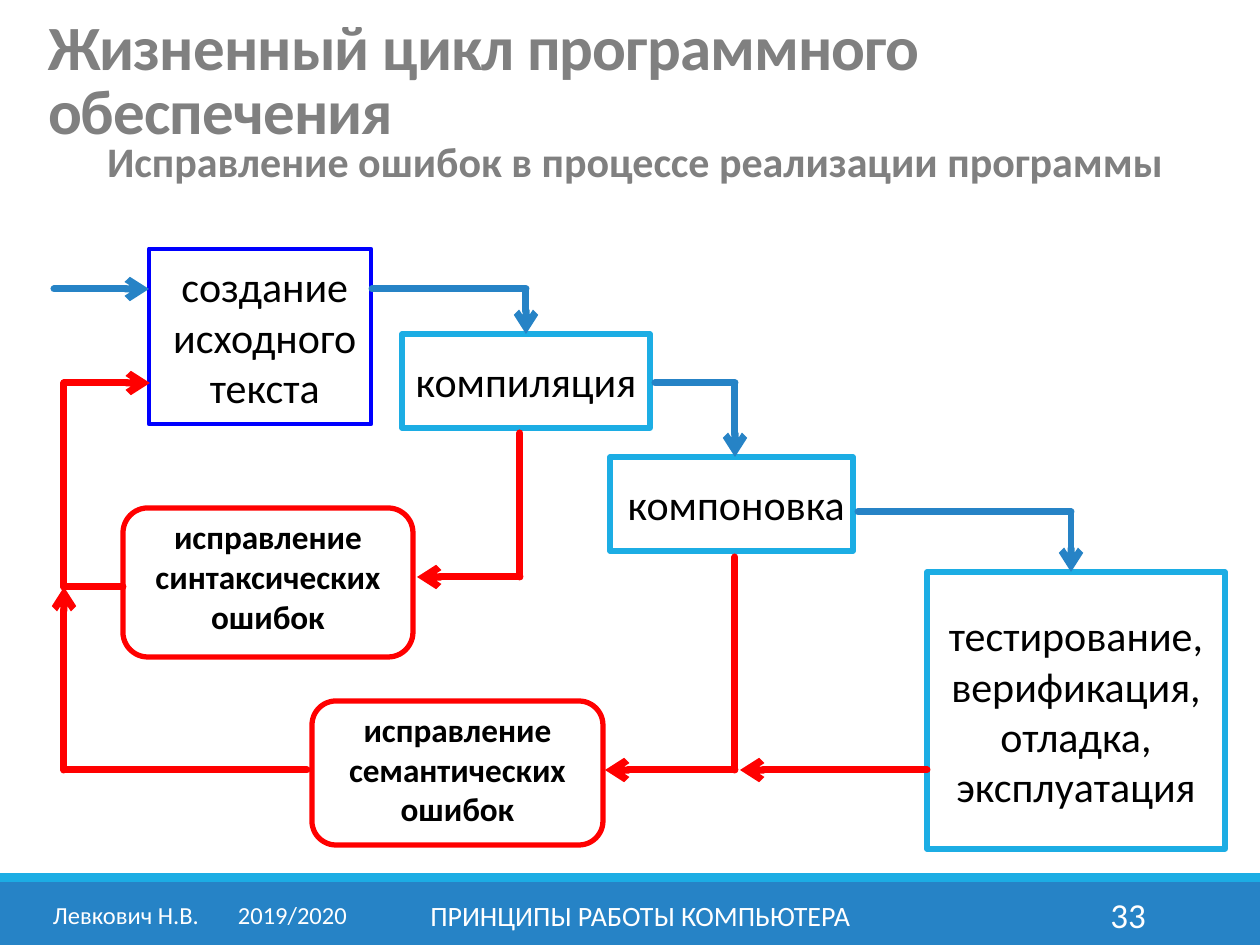
from lxml.etree import SubElement
from pptx import Presentation
from pptx.dml.color import RGBColor
from pptx.enum.shapes import MSO_CONNECTOR, MSO_SHAPE
from pptx.enum.text import MSO_ANCHOR, PP_ALIGN
from pptx.oxml.ns import qn
from pptx.util import Pt

PX = 914400 / 126  # EMU in one px
BLUE = RGBColor(0x26, 0x83, 0xC6)
CYAN = RGBColor(0x1C, 0xAD, 0xE4)
NAVY = RGBColor(0x00, 0x00, 0xFF)
RED = RGBColor(0xFF, 0x00, 0x00)
GRAY = RGBColor(0x80, 0x80, 0x80)
BLACK = RGBColor(0x00, 0x00, 0x00)
WHITE = RGBColor(0xFF, 0xFF, 0xFF)


def px(*values):
    return [round(v * PX) for v in values]


def put_text(shape, text, size=24, color=BLACK, bold=False, align=PP_ALIGN.CENTER,
             anchor=MSO_ANCHOR.MIDDLE, insets=(13, 6, 13, 6), leading=None,
             before=0, after=0, spacing=None):
    """Fill a shape with text: \\n starts a paragraph, \\v breaks a line."""
    tf = shape.text_frame
    tf.word_wrap = True
    tf.vertical_anchor = anchor
    tf.margin_left, tf.margin_top, tf.margin_right, tf.margin_bottom = px(*insets)
    tf.text = text
    for p in tf.paragraphs:
        p.alignment = align
        p.line_spacing = leading
        p.space_before, p.space_after = Pt(before), Pt(after)
        for r in p.runs:
            r.font.name, r.font.size, r.font.bold = "Calibri", Pt(size), bold
            r.font.color.rgb = color
            if spacing is not None:
                r.font._element.set("spc", str(spacing))
    return tf.paragraphs[0]


def text_box(s, box, text, **fmt):
    return put_text(s.shapes.add_textbox(*px(*box)), text, **fmt)


def band(s, box, color):
    sp = s.shapes.add_shape(MSO_SHAPE.RECTANGLE, *px(*box))
    sp.shadow.inherit = False
    sp.fill.solid()
    sp.fill.fore_color.rgb = color
    sp.line.fill.background()


def stage(s, box, text, color=CYAN, width=3, kind=MSO_SHAPE.RECTANGLE, **fmt):
    sp = s.shapes.add_shape(kind, *px(*box))
    sp.shadow.inherit = False
    sp.fill.background()
    sp.line.color.rgb = color
    sp.line.width = Pt(width)
    put_text(sp, text, insets=(1, 1, 1, 1), **fmt)
    return sp


def fix_stage(s, box, text):
    stage(s, box, text, color=RED, kind=MSO_SHAPE.ROUNDED_RECTANGLE, size=19, bold=True,
          anchor=MSO_ANCHOR.TOP, before=6, after=6)


def route(s, color, *points, arrow=True):
    """Draw straight segments through the points; return the last one."""
    for start, end in zip(points, points[1:]):
        c = s.shapes.add_connector(MSO_CONNECTOR.STRAIGHT, *px(*start, *end))
        c.line.color.rgb = color
        c.line.width = Pt(4)
        c.line._get_or_add_ln().set("cap", "rnd")
        SubElement(c._element.spPr, qn("a:effectLst"))
    if arrow:
        SubElement(c.line._get_or_add_ln(), qn("a:tailEnd"), type="arrow")
    return c


def add_headings(s):
    text_box(s, (35, 33, 1191, 101), "Жизненный цикл программного обеспечения", size=36,
             color=GRAY, bold=True, align=PP_ALIGN.LEFT, leading=0.85, spacing=-50)
    p = text_box(s, (44, 135, 1142, 59), "Исправление ошибок в процессе реализации программы",
                 color=GRAY, bold=True, align=PP_ALIGN.LEFT, anchor=MSO_ANCHOR.TOP,
                 insets=(0, 6, 0, 6), leading=0.9, before=12, after=2)
    # Hanging indent with a blank bullet
    pPr = p._p.get_or_add_pPr()
    indent, = px(63)
    pPr.set("marL", str(indent))
    pPr.set("indent", str(-indent))
    SubElement(SubElement(pPr, qn("a:buClr")), qn("a:srgbClr"), val=str(CYAN))
    SubElement(pPr, qn("a:buChar"), char=" ")


def add_footer(s):
    band(s, (0, 882, 1260, 63), BLUE)
    band(s, (0, 873, 1260, 9), CYAN)
    p = text_box(s, (40, 890, 329, 50), "Левкович Н.В.\t2019/2020", size=14, color=WHITE,
                 align=PP_ALIGN.LEFT)
    tabs = SubElement(p._p.get_or_add_pPr(), qn("a:tabLst"))
    SubElement(tabs, qn("a:tab"), pos=str(px(185)[0]), algn="l")
    text_box(s, (381, 890, 519, 50), "ПРИНЦИПЫ РАБОТЫ КОМПЬЮТЕРА", size=16, color=WHITE)
    text_box(s, (1023, 890, 136, 50), "33", size=20, color=WHITE, align=PP_ALIGN.RIGHT)


def add_stages(s):
    stage(s, (149, 249, 222, 175), " создание\v исходного\v текста", color=NAVY, width=2.75)
    compiling = stage(s, (402, 334, 248, 94), "компиляция", before=6, after=6)
    stage(s, (610, 457, 243, 94), " компоновка")
    stage(s, (927, 572, 298, 277), "тестирование,\nверификация,\nотладка,\nэксплуатация")
    fix_stage(s, (123, 508, 290, 149), "исправление синтаксических\vошибок")
    fix_stage(s, (312, 701, 291, 144), "исправление\vсемантических\vошибок")
    return compiling


def add_routes(s, compiling):
    # Forward flow
    route(s, BLUE, (54, 289), (149, 289))
    route(s, BLUE, (372, 289), (526, 289), (526, 334)).end_connect(compiling, 0)
    route(s, BLUE, (655, 383), (735, 383), (735, 457))
    route(s, BLUE, (858, 512), (1071, 512), (1071, 572))
    # Errors going to correction
    route(s, RED, (520, 433), (520, 577), (417, 577))
    route(s, RED, (735, 557), (735, 770), (605, 770))
    route(s, RED, (927, 770), (740, 770))
    # Return to the source text
    route(s, RED, (307, 770), (64, 770), (64, 587))
    route(s, RED, (123, 587), (64, 587), (64, 383), (150, 383))


def main():
    prs = Presentation()
    prs.slide_width, prs.slide_height = px(1260, 945)
    s = prs.slides.add_slide(prs.slide_layouts[6])
    add_footer(s)
    add_headings(s)
    add_routes(s, add_stages(s))
    prs.save("out.pptx")


if __name__ == "__main__":
    main()
